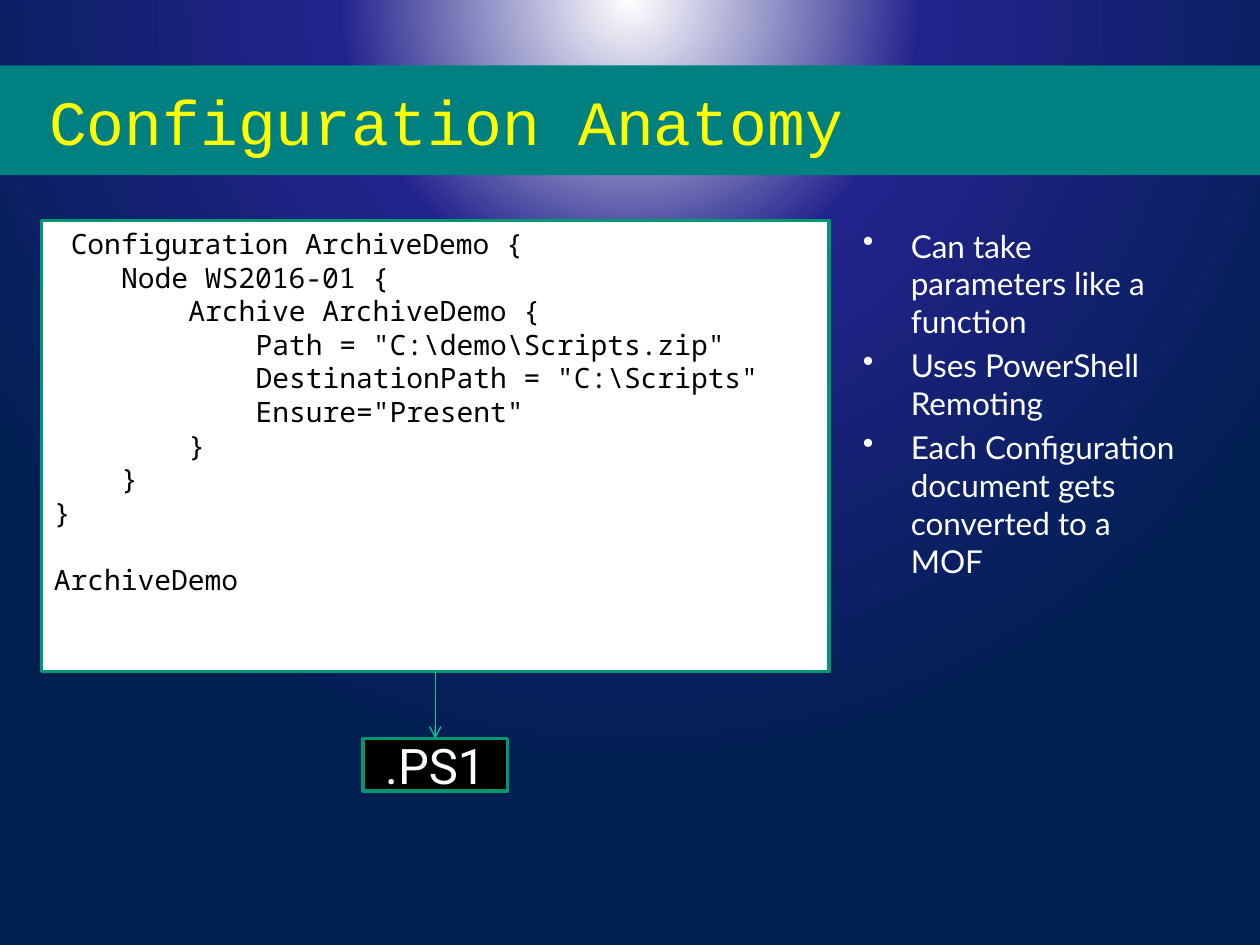
"""Build the Configuration Anatomy slide."""
from lxml import etree
from pptx import Presentation
from pptx import util as u
from pptx.dml.color import RGBColor
from pptx.enum import shapes, text
from pptx.oxml import parse_xml
from pptx.oxml.ns import nsdecls, qn

WIDTH, HEIGHT = u.Inches(10), u.Inches(7.5)
COLORS = {
    "glow": "FFFFFF", "blue": "23238D", "navy": "011F51", "teal": "008080",
    "yellow": "FFFF00", "white": "FFFFFF", "black": "000000",
    "green": "009771", "mint": "00C896",
}
CODE_SIZE = 16
CODE_CHAR = 0.6 * CODE_SIZE
CODE_LINES = [
    (1, "Configuration ArchiveDemo {"),
    (4, "Node WS2016-01 {"),
    (8, "Archive ArchiveDemo {"),
    (12, r'Path = "C:\demo\Scripts.zip"'),
    (12, r'DestinationPath = "C:\Scripts"'),
    (12, 'Ensure="Present"'),
    (8, "}"),
    (4, "}"),
    (0, "}"),
    (0, "ArchiveDemo"),
]
POINTS = [
    "Can take parameters like a function",
    "Uses PowerShell Remoting",
    "Each Configuration document gets converted to a MOF",
]


def color(name):
    return RGBColor.from_string(COLORS[name])


def share(left, top, width, height):
    """Turn percentages of the slide into left, top, width and height."""
    return [round(part * side / 100) for part, side in
            zip((left, top, width, height), (WIDTH, HEIGHT) * 2)]


def set_background(page):
    page.background.fill.solid()
    solid = page.background._cSld.bg.bgPr.find(qn("a:solidFill"))
    stops = "".join(
        f'<a:gs pos="{spot * 1000}"><a:srgbClr val="{COLORS[name]}"/></a:gs>'
        for spot, name in ((0, "glow"), (37, "blue"), (100, "navy")))
    gradient = parse_xml(
        f'<a:gradFill {nsdecls("a")} rotWithShape="1"><a:gsLst>{stops}</a:gsLst>'
        '<a:path path="circle"><a:fillToRect l="50000" t="-80000" r="50000" '
        'b="180000"/></a:path></a:gradFill>')
    solid.getparent().replace(solid, gradient)


def write_lines(shape, lines, font, size, tint, align=text.PP_ALIGN.LEFT,
                anchor=text.MSO_ANCHOR.TOP):
    """Write one paragraph per line and return the paragraphs."""
    frame = shape.text_frame
    frame.word_wrap = True
    frame.auto_size = text.MSO_AUTO_SIZE.NONE
    frame.vertical_anchor = anchor
    frame.text = "\n".join(lines)
    for para in frame.paragraphs:
        para.alignment = align
        para.font.name, para.font.size = font, u.Pt(size)
        para.font.color.rgb = color(tint)
    return frame.paragraphs


def set_indent(para, left, first=0):
    properties = para._p.get_or_add_pPr()
    properties.set("marL", str(int(left)))
    properties.set("indent", str(int(first)))
    return properties


def add_title(page, area):
    title = page.shapes.title
    title.left, title.top, title.width, title.height = area
    title.fill.solid()
    title.fill.fore_color.rgb = color("teal")
    write_lines(title, ["Configuration Anatomy"], "Courier New", 36, "yellow",
                anchor=text.MSO_ANCHOR.MIDDLE)
    title.text_frame.margin_left = u.Inches(0.39)


def add_panel(page, area, fill):
    box = page.shapes.add_shape(shapes.MSO_SHAPE.RECTANGLE, *area)
    box.shadow.inherit = False
    box.fill.solid()
    box.fill.fore_color.rgb = color(fill)
    box.line.color.rgb = color("green")
    box.line.width = u.Pt(2)
    return box


def add_code(page, area):
    box = add_panel(page, area, "white")
    paras = write_lines(box, [line for _, line in CODE_LINES],
                        "Noto Sans Mono", CODE_SIZE, "black")
    for para, (columns, _) in zip(paras, CODE_LINES):
        set_indent(para, u.Pt(columns * CODE_CHAR))
    paras[-1].space_before = u.Pt(1.2 * CODE_SIZE)
    return box


def add_file_label(page, area):
    box = add_panel(page, area, "black")
    write_lines(box, [".PS1"], "Roboto", 28, "white", text.PP_ALIGN.CENTER,
                text.MSO_ANCHOR.MIDDLE)
    return box


def add_arrow(page, upper, lower):
    arrow = page.shapes.add_connector(shapes.MSO_CONNECTOR.STRAIGHT, 0, 0, 0, 0)
    arrow.begin_connect(upper, 2)
    arrow.end_connect(lower, 0)
    arrow.line.color.rgb = color("mint")
    arrow.line.width = u.Pt(0.75)
    etree.SubElement(arrow.line._get_or_add_ln(), qn("a:tailEnd"), type="arrow")
    etree.SubElement(arrow._element.spPr, qn("a:effectLst"))


def add_bullets(page, area):
    box = page.shapes.add_textbox(*area)
    for para in write_lines(box, POINTS, "Lato", 18, "white"):
        para.space_before = u.Pt(0.2 * 18)
        properties = set_indent(para, u.Inches(0.38), -u.Inches(0.38))
        bullet = parse_xml(f'<a:buChar {nsdecls("a")} char="•"/>')
        properties.insert_element_before(bullet, "a:tabLst", "a:defRPr", "a:extLst")


def main():
    deck = Presentation()
    deck.slide_width, deck.slide_height = WIDTH, HEIGHT
    page = deck.slides.add_slide(deck.slide_layouts.get_by_name("Title Only"))
    set_background(page)
    add_title(page, share(0, 6.93, 100, 11.6))
    code = add_code(page, share(3.3, 23.33, 62.5, 47.73))
    label = add_file_label(page, share(28.8, 78.13, 11.5, 5.6))
    add_arrow(page, code, label)
    add_bullets(page, share(67.5, 23.33, 27.5, 66))
    deck.save("out.pptx")


if __name__ == "__main__":
    main()
